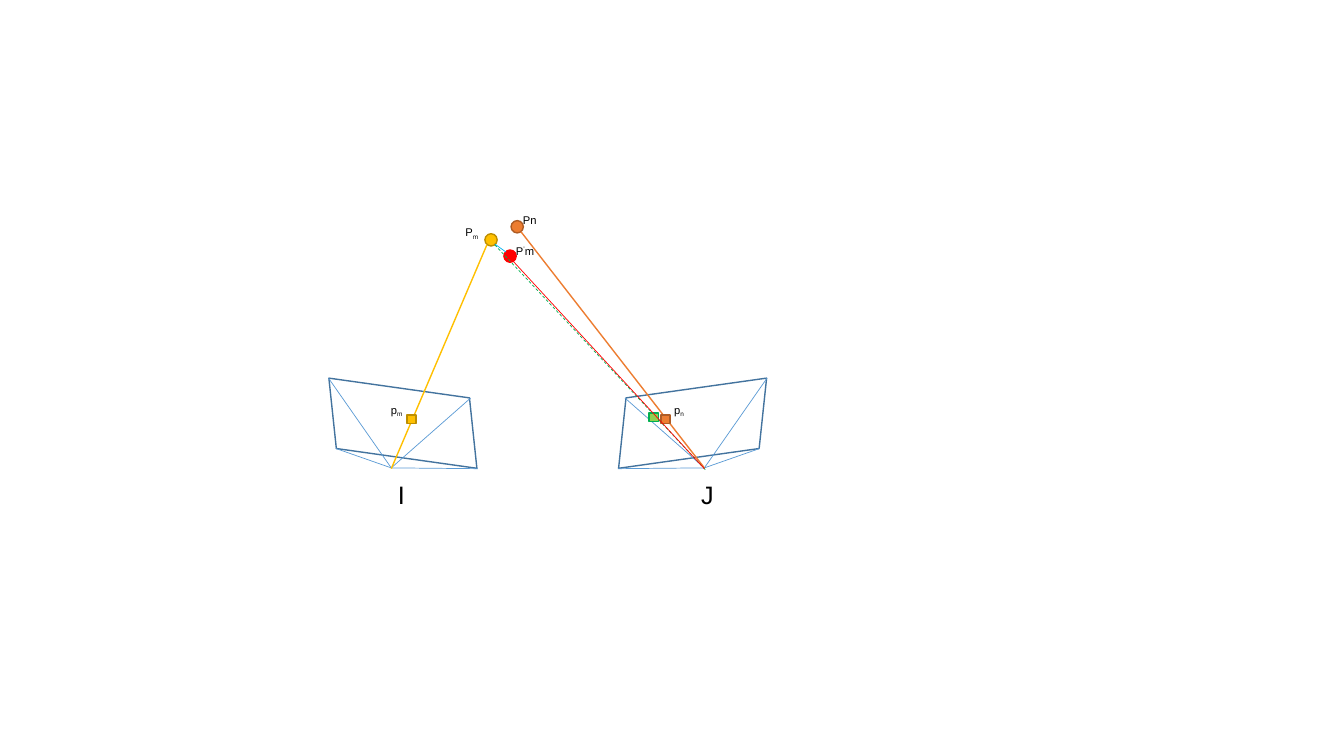
from pptx import Presentation
from pptx import util as u
from pptx.dml.color import RGBColor
from pptx.enum import dml, shapes, text
from pptx.oxml.ns import qn
from lxml import etree

MIRROR = 27.61
FRAME = (8.15, 9.8, 4.01, 1.73)
TILT = 8
CENTRE = (9.86, 11.79)
CORNERS = [(8.28, 9.53), (11.86, 10.03), (12.04, 11.81), (8.46, 11.3)]
FRAME_LINE, EDGE_LINE = "43739E", "5B9BD5"

SIZES = {"OVAL": (0.31, 0.31), "RECTANGLE": (0.23, 0.21)}
SCENE = [
    ("OVAL", (12.22, 5.89), "FFC000", "BD8E00"),
    ("OVAL", (12.88, 5.56), "ED7D31", "AF5C24"),
    ("ray", (9.86, 11.81), (12.27, 6.17), "FFC000", 1, False),
    ("ray", (13.13, 5.84), (17.75, 11.79), "ED7D31", 1, False),
    ("RECTANGLE", (10.26, 10.46), "FFC000", "BD8E00"),
    ("RECTANGLE", (16.66, 10.46), "ED7D31", "AF5C24"),
    ("OVAL", (12.7, 6.3), "FF0000", "FF0000"),
    ("ray", (12.47, 6.17), (17.78, 11.84), "00B050", 0.5, True),
    ("RECTANGLE", (16.36, 10.41), "92D050", "00B050"),
    ("ray", (12.47, 6.15), (12.75, 6.35), "00B0F0", 0.5, False),
    ("ray", (12.93, 6.58), (17.75, 11.81), "FF0000", 0.5, False),
]
LABELS = [
    ((9.78, 11.96, 0.71, 1.02), 18, [("I", 0)]),
    ((17.42, 11.96, 0.71, 1.02), 18, [("J", 0)]),
    ((16.74, 10.03, 0.84, 0.58), 8, [("p", 0), ("n", -25)]),
    ((9.6, 10.03, 1.04, 0.58), 8, [("p", 0), ("m", -25)]),
    ((11.48, 5.56, 1.04, 0.58), 8, [("P", 0), ("m", -25)]),
    ((12.93, 5.26, 1.04, 0.58), 8, [("Pn", 0)]),
    ((12.75, 6.02, 1.04, 0.58), 8, [("P", 0), ("’", 30), ("m", 0)]),
]


def cm(values):
    return [u.Cm(v) for v in values]


def paint(fmt, color):
    fmt.solid()
    fmt.fore_color.rgb = RGBColor.from_string(color)


def stroke(sp, color, width):
    paint(sp.line.fill, color)
    sp.line.width = u.Pt(width)


def add_line(parent, start, end, color, width, dashed=False):
    sp = parent.add_connector(shapes.MSO_CONNECTOR.STRAIGHT, *cm(start + end))
    stroke(sp, color, width)
    if dashed:
        sp.line.dash_style = dml.MSO_LINE.DASH
    etree.SubElement(sp._element.spPr, qn("a:effectLst"))


def add_shape(parent, kind, box, fill, line):
    sp = parent.add_shape(shapes.MSO_SHAPE[kind], *cm(box))
    sp.shadow.inherit = False
    if fill:
        paint(sp.fill, fill)
    else:
        sp.fill.background()
    stroke(sp, line, 1)
    return sp


def add_camera(parent, mirrored):
    def place(point):
        return (MIRROR - point[0], point[1]) if mirrored else point

    group = parent.add_group_shape().shapes
    left, top, width, height = FRAME
    if mirrored:
        left = MIRROR - left - width
    sp = add_shape(group, "PARALLELOGRAM", (left, top, width, height), None, FRAME_LINE)
    sp.rotation = -TILT if mirrored else TILT
    if not mirrored:
        sp._element.spPr.get_or_add_xfrm().set("flipH", "1")
    for corner in CORNERS:
        add_line(group, place(corner), place(CENTRE), EDGE_LINE, 0.5)


def add_label(parent, box, size, runs):
    tf = parent.add_textbox(*cm(box)).text_frame
    for name, value in {"word_wrap": True, "auto_size": text.MSO_AUTO_SIZE.SHAPE_TO_FIT_TEXT}.items():
        setattr(tf, name, value)
    p = tf.paragraphs[0]
    for words, baseline in runs:
        r = p.add_run()
        r.text = words
        for name, value in {"size": u.Pt(size), "name": "Arial"}.items():
            setattr(r.font, name, value)
        paint(r.font.fill, "000000")
        if baseline:
            r.font._element.set("baseline", str(baseline * 1000))


def main():
    prs = Presentation()
    prs.slide_width, prs.slide_height = cm((33.87, 19.05))
    canvas = prs.slides.add_slide(prs.slide_layouts[6]).shapes
    for mirrored in (False, True):
        add_camera(canvas, mirrored)
    for kind, *item in SCENE:
        if kind == "ray":
            add_line(canvas, *item)
        else:
            corner, fill, line = item
            add_shape(canvas, kind, corner + SIZES[kind], fill, line)
    for label in LABELS:
        add_label(canvas, *label)
    prs.save("out.pptx")


if __name__ == "__main__":
    main()
